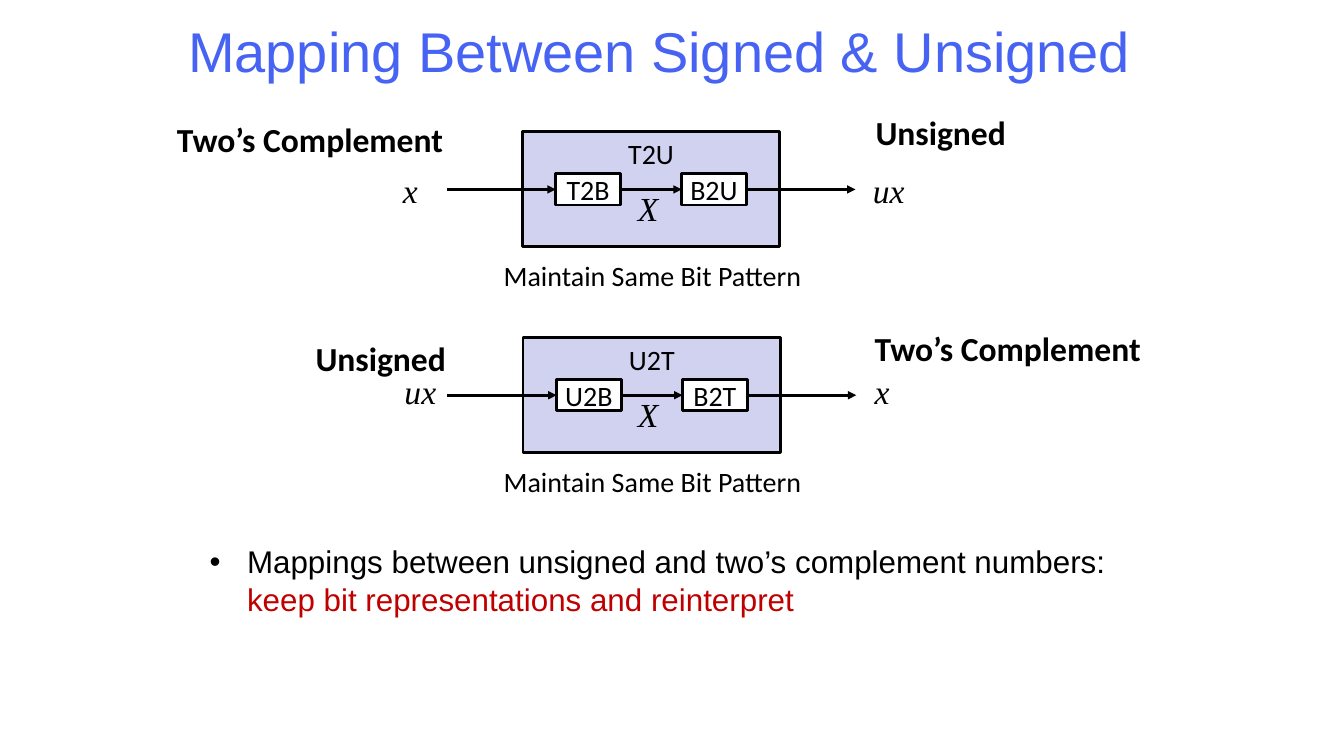
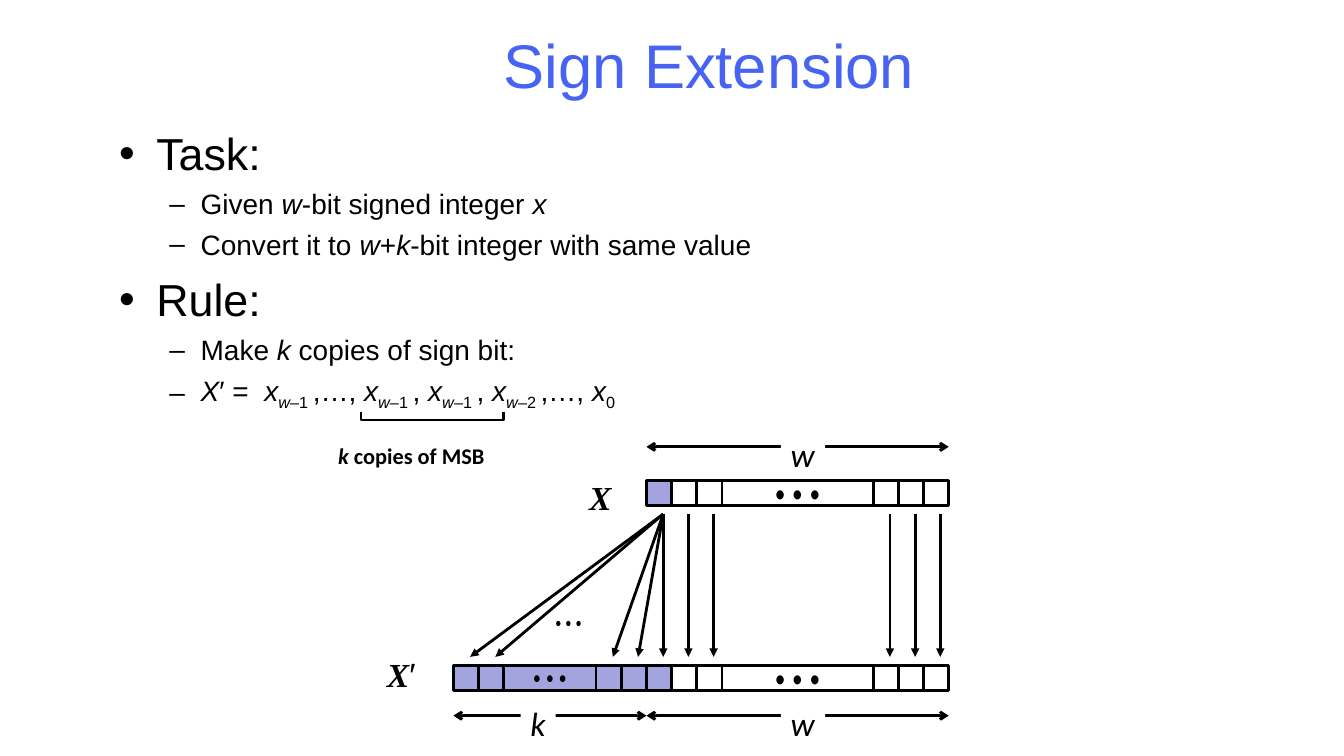
from lxml import etree
from pptx import Presentation
from pptx.dml.color import RGBColor
from pptx.enum.shapes import MSO_CONNECTOR, MSO_SHAPE
from pptx.enum.text import MSO_ANCHOR, PP_ALIGN
from pptx.oxml.ns import qn
from pptx.util import Emu, Inches, Pt

RECT, STRAIGHT = MSO_SHAPE.RECTANGLE, MSO_CONNECTOR.STRAIGHT
LEFT, CENTER = PP_ALIGN.LEFT, PP_ALIGN.CENTER
TOP, MIDDLE = MSO_ANCHOR.TOP, MSO_ANCHOR.MIDDLE

BLACK = RGBColor(0x00, 0x00, 0x00)
WHITE = RGBColor(0xFF, 0xFF, 0xFF)
TITLE_BLUE = RGBColor(0x47, 0x63, 0xF3)
RED = RGBColor(0xC0, 0x00, 0x00)
PANEL = RGBColor(0xD1, 0xD1, 0xF0)
SIGN_FILL = RGBColor(0xA3, 0xA3, 0xE0)

SANS, SERIF, LABEL, NARROW = "Arial", "Times New Roman", "Calibri", "Arial Narrow"
STROKE = Pt(2)
UNIT = Inches(1) // 12  # the slide is a grid of 160 columns by 90 rows
# bullet, left indent, hanging indent (inches), space before (points)
LEVELS = [("•", 0.37, -0.37, 8), ("–", 0.81, -0.31, 5)]
DOTS = "• • •"


def add_box(s, at, paras=(), sizes=(20,), font=LABEL, color=BLACK, fill=None,
            border=False, align=LEFT, anchor=TOP, bullets=False):
    """Add a box at (column, row, width, height) in grid units.

    paras is a string or a list of (level, runs); a run is (text, flags) with
    flags b bold, i italic, s subscript, r red, a Arial.
    """
    at = [Emu(round(v * UNIT)) for v in at]
    if fill is None:
        sp = s.shapes.add_textbox(*at)
    else:
        sp = s.shapes.add_shape(RECT, *at)
        sp.shadow.inherit = False
        sp.fill.solid()
        sp.fill.fore_color.rgb = fill
        if border:
            sp.line.color.rgb = BLACK
            sp.line.width = STROKE
        else:
            sp.line.fill.background()
    tf = sp.text_frame
    tf.word_wrap = bullets
    tf.vertical_anchor = anchor
    if isinstance(paras, str):
        paras = [(0, [(paras, "")])]
    for i, (level, runs) in enumerate(paras):
        p = tf.add_paragraph() if i else tf.paragraphs[0]
        p.alignment = align
        if bullets:
            char, margin, hang, before = LEVELS[level]
            p.level = level
            pPr = p._p.get_or_add_pPr()
            pPr.set("marL", str(Inches(margin)))
            pPr.set("indent", str(Inches(hang)))
            clr = etree.SubElement(pPr, qn("a:buClr"))
            etree.SubElement(clr, qn("a:srgbClr"), val=str(BLACK))
            etree.SubElement(pPr, qn("a:buFont"), typeface=SANS)
            etree.SubElement(pPr, qn("a:buChar"), char=char)
            if i:
                p.space_before = Pt(before)
        for text, flags in runs:
            if text == "\n":
                p.add_line_break()
                continue
            r = p.add_run()
            r.text = text
            r.font.name = SANS if "a" in flags else font
            r.font.size = Pt(sizes[level])
            r.font.bold = "b" in flags
            r.font.italic = "i" in flags
            r.font.color.rgb = RED if "r" in flags else color
            if "s" in flags:
                r._r.get_or_add_rPr().set("baseline", "-25000")
    return sp


def add_arrow(s, x1, y1, x2, y2, head=None, tail="triangle"):
    line = s.shapes.add_connector(
        STRAIGHT, *[Emu(round(v * UNIT)) for v in (x1, y1, x2, y2)])
    line.line.color.rgb = BLACK
    line.line.width = STROKE
    ln = line.line._get_or_add_ln()
    if head:
        etree.SubElement(ln, qn("a:headEnd"), type=head)
    etree.SubElement(ln, qn("a:tailEnd"), type=tail)
    etree.SubElement(line._element.spPr, qn("a:effectLst"))
    return line


prs = Presentation()
prs.slide_width, prs.slide_height = Inches(13.34), Inches(7.5)
blank = prs.slide_layouts[6]

slides = []
for title, at, size in [
    ("Mapping Between Signed & Unsigned", (21, 1, 115, 10), 40),
    ("Sign Extension", (44.4, 4, 80.2, 7.3), 44),
]:
    s = prs.slides.add_slide(blank)
    add_box(s, at, title, (size,), SANS, TITLE_BLUE, align=CENTER, anchor=MIDDLE)
    slides.append(s)
mapping, extension = slides

# Mapping Between Signed & Unsigned
s = mapping
SIGNED_W, UNSIGNED_W, X_W, UX_W = 34.4, 17.9, 4.2, 7.5
diagrams = [
    (62.2, 15.7, "T2U", "T2B", "B2U",
     [("Two’s Complement", 19.9, 13.6, SIGNED_W), ("Unsigned", 103.1, 12.7, UNSIGNED_W)],
     [("x", 46.8, 19.6, X_W), ("ux", 102.8, 19.6, UX_W)]),
    (62.3, 40.2, "U2T", "U2B", "B2T",
     [("Unsigned", 36.4, 39.6, UNSIGNED_W), ("Two’s Complement", 103, 38.5, SIGNED_W)],
     [("ux", 47, 43.6, UX_W), ("x", 103, 43.6, X_W)]),
]
for x, y, name, first, second, headings, values in diagrams:
    add_box(s, (x, y, 30.7, 13.7), name, fill=PANEL, border=True, align=CENTER)
    encode, decode = [
        add_box(s, (x + dx, y + 5, 7.7, 3.7), text, fill=WHITE, border=True,
                align=CENTER, anchor=MIDDLE)
        for dx, text in [(4, first), (19, second)]]
    mid = y + 6.85
    add_arrow(s, x - 9, mid, x + 4, mid).end_connect(encode, 1)
    add_arrow(s, x + 26.7, mid, x + 39.7, mid).begin_connect(decode, 3)
    link = add_arrow(s, x + 11.7, mid, x + 19, mid)
    link.begin_connect(encode, 3)
    link.end_connect(decode, 1)
    for text, left, top, width in headings:
        add_box(s, (left, top, width, 6), [(0, [(text, "b")])], (24,))
    for text, left, top, width in values + [("X", 74.8, y + 6.1, 4.8)]:
        add_box(s, (left, top, width, 6), [(0, [(text, "i")])], (24,), SERIF)
    add_box(s, (58.8, y + 14.5, 38, 5.2), "Maintain Same Bit Pattern")

add_box(s, (23.8, 64, 113.6, 11.5), [
    (0, [("Mappings between unsigned and two’s complement numbers:", ""),
         ("\n", ""), ("keep bit representations and reinterpret", "r")]),
], (22.4,), SANS, bullets=True)

# Sign Extension
s = extension
msb = [("x", "i"), ("w", "is"), ("–1 ", "s")]
add_box(s, (13, 14.4, 120, 68.5), [
    (0, [("Task:", "")]),
    (1, [("Given ", ""), ("w", "i"), ("-bit signed integer ", ""), ("x", "i")]),
    (1, [("Convert it to ", ""), ("w", "i"), ("+", ""), ("k", "i"),
         ("-bit integer with same value", "")]),
    (0, [("Rule:", "")]),
    (1, [("Make ", ""), ("k", "i"), (" copies of sign bit:", "")]),
    (1, [("X", "i"), ("′ =  ", ""), *msb, (",…, ", ""), *msb, (", ", ""), *msb,
         (", ", ""), ("x", "i"), ("w", "is"), ("–2 ", "s"), (",…, ", ""),
         ("x", "i"), ("0", "s")]),
], (32, 20), SANS, bullets=True)

fb = s.shapes.build_freeform(43 * UNIT, 49 * UNIT)
fb.add_line_segments([(c * UNIT, r * UNIT) for c, r in [(43, 50), (60, 50), (60, 49)]],
                     close=False)
bracket = fb.convert_to_shape()
bracket.shadow.inherit = False
bracket.fill.background()
bracket.line.color.rgb = BLACK
bracket.line.width = STROKE
add_box(s, (39.1, 52, 19.8, 4.3), [(0, [("k", "bi"), (" copies of MSB", "b")])], (16,))

BIT, K_COL, W_COL, END_COL = 3, 54, 77, 113
X_ROW, X_EXT_ROW = 57.2, 79.2
k_bits = [BIT, BIT, 11, BIT, BIT]
w_bits = [BIT, BIT, BIT, 18, BIT, BIT, BIT]
for left, row, widths, filled, dot_size in [
    (W_COL, X_ROW, w_bits, 1, 24),
    (K_COL, X_EXT_ROW, k_bits, len(k_bits), 18),
    (W_COL, X_EXT_ROW, w_bits, 1, 24),
]:
    for i, width in enumerate(widths):
        add_box(s, (left, row, width, BIT), DOTS if width > BIT else (), (dot_size,),
                NARROW, fill=SIGN_FILL if i < filled else WHITE, border=True,
                align=CENTER, anchor=MIDDLE)
        left += width

add_box(s, (69, 56.2, 5, 6), [(0, [("X", "bi")])], (24,), SERIF)
add_box(s, (44.9, 77.2, 6.4, 6), [(0, [("X", "bi"), ("′", "a")])], (24,), SERIF)

SIGN_COL = W_COL + 2
copied = [(SIGN_COL, col) for col in (56, 59, 73, 76, SIGN_COL)]
kept = [(col, col) for col in (82, 85, 106, 109, 112)]
for start, end in copied + kept:
    add_arrow(s, start, X_ROW + 4, end, X_EXT_ROW - 1)
add_box(s, (65, 72.2, 7, 4.1), DOTS, (14,), NARROW)

for name, start, end, row, label_col, width in [
    ("w", W_COL, END_COL, 53.2, 93, 5.3),
    ("w", W_COL, END_COL, 85.2, 93, 5.3),
    ("k", K_COL, W_COL, 85.2, 62, 4.2),
]:
    add_arrow(s, start, row, end, row, head="arrow", tail="arrow")
    add_box(s, (label_col, row - 2.1, width, 5.7), [(0, [(name, "i")])], (24,), fill=WHITE)

prs.save("out.pptx")
